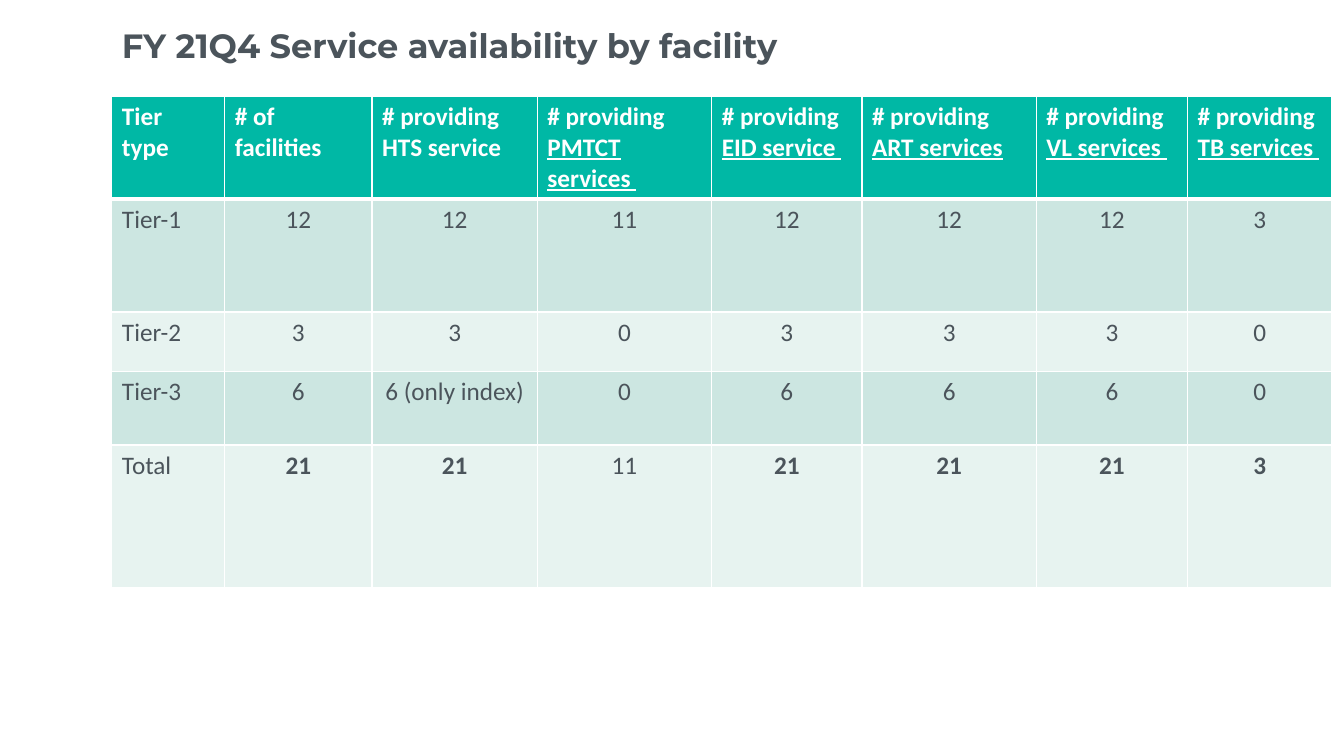
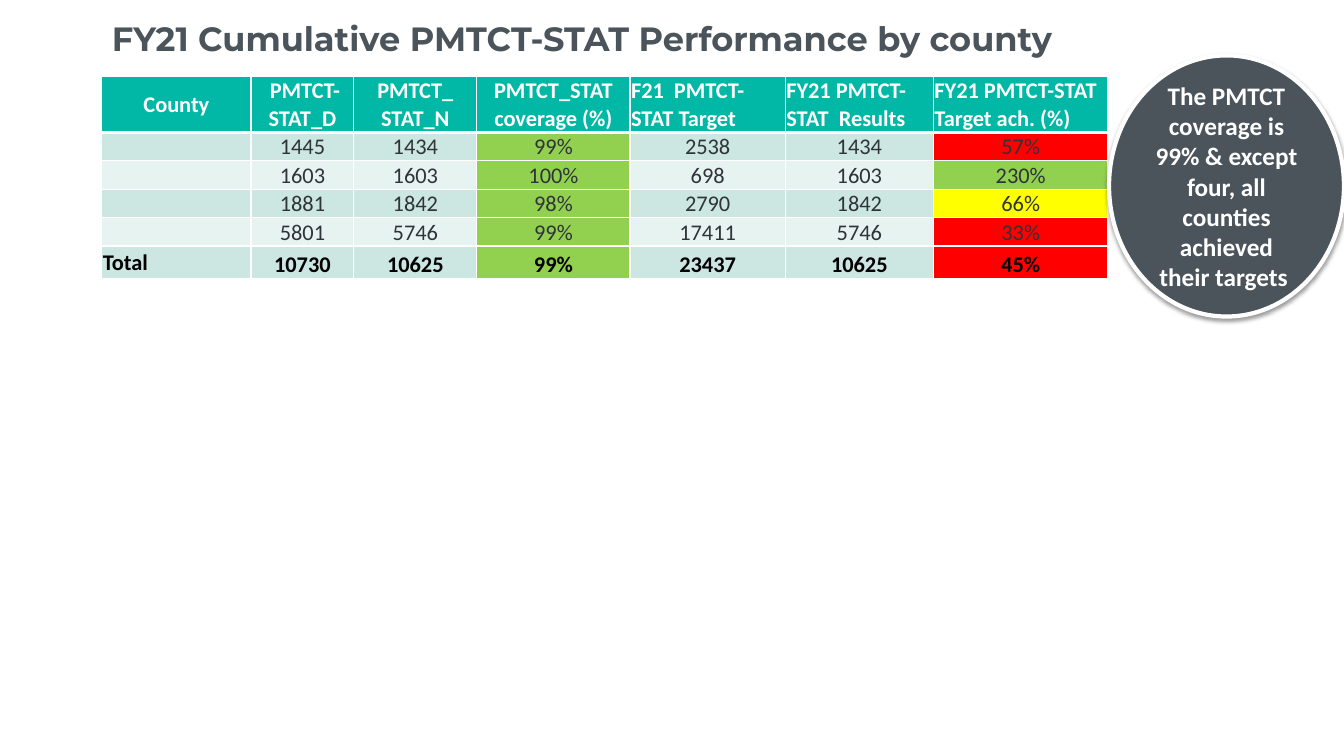
"""Build two slides of health service tables by facility tier and county."""
from lxml import etree
from pptx import Presentation
from pptx import util as u
from pptx.dml.color import RGBColor
from pptx.enum import shapes, text
from pptx.oxml import ns

PX = 9144
SLIDE_SIZE = (1333, 750)
WHITE = RGBColor(0xFF, 0xFF, 0xFF)
BLACK = RGBColor(0, 0, 0)
SLATE = RGBColor(0x4B, 0x54, 0x5B)
INK = RGBColor(0x2E, 0x34, 0x39)
TEAL = RGBColor(0x00, 0xB8, 0xA5)
BANDS = (RGBColor(0xCC, 0xE6, 0xE1), RGBColor(0xE7, 0xF3, 0xF0))
GREEN = RGBColor(0x92, 0xD0, 0x50)
YELLOW = RGBColor(0xFF, 0xFF, 0x00)
RED = RGBColor(0xFF, 0, 0)

LEFT, CENTER = text.PP_ALIGN.LEFT, text.PP_ALIGN.CENTER
TOP, MIDDLE, BOTTOM = (text.MSO_ANCHOR.TOP, text.MSO_ANCHOR.MIDDLE,
                       text.MSO_ANCHOR.BOTTOM)

TIER_TITLE = "FY 21Q4 Service availability by facility"
TIER_COLUMNS = (112, 146, 164, 173, 149, 173, 150, 143)
TIER_HEIGHTS = (93, 112, 59, 73, 141)
TIER_ROWS = [
    ["Tier type", "# of facilities", "# providing HTS service"]
    + [("# providing ", service) for service in
       ("PMTCT services ", "EID service ", "ART services", "VL services ", "TB services ")],
    ["Tier-1", "12", "12", "11", "12", "12", "12", "3"],
    ["Tier-2", "3", "3", "0", "3", "3", "3", "0"],
    ["Tier-3", "6", "6 (only index)", "0", "6", "6", "6", "0"],
    ["Total", "21", "21", "11", "21", "21", "21", "3"],
]

COUNTY_TITLE = "FY21 Cumulative PMTCT-STAT Performance by county"
COUNTY_COLUMNS = (148, 102, 122, 152, 154, 147, 173)
COUNTY_HEIGHTS = (51, 26, 26, 26, 26, 32)
COUNTY_ROWS = [
    ["County", " PMTCT-STAT_D", "PMTCT_\nSTAT_N", "PMTCT_STAT coverage (%)",
     "F21  PMTCT-STAT Target", "FY21 PMTCT-STAT  Results",
     "FY21 PMTCT-STAT Target ach. (%)"],
    ["", "1445", "1434", "99%", "2538", "1434", "57%"],
    ["", "1603", "1603", "100%", "698", "1603", "230%"],
    ["", "1881", "1842", "98%", "2790", "1842", "66%"],
    ["", "5801", "5746", "99%", "17411", "5746", "33%"],
    ["Total", "10730", "10625", "99%", "23437", "10625", "45%"],
]
COVERAGE, TARGET, ACHIEVED = 3, 4, 6
ACHIEVED_FILLS = (RED, GREEN, YELLOW, RED, RED)
CALLOUT = "The PMTCT coverage is 99% & except four, all counties achieved their targets "


def px(*lengths):
    return [length * PX for length in lengths]


def write(frame, content, size=18, font="Calibri", color=SLATE, bold=False,
          align=LEFT, underlined=""):
    for index, line in enumerate(content.split("\n")):
        para = frame.add_paragraph() if index else frame.paragraphs[0]
        para.alignment = align
        pieces = [(line, False), (underlined, True)]
        for piece, underline in pieces:
            if not piece:
                continue
            span = para.add_run()
            span.text = piece
            span.font.size, span.font.name = u.Pt(size), font
            span.font.bold, span.font.underline = bold, underline
            span.font.color.rgb = color
        if not para.runs:
            etree.SubElement(para._p, ns.qn("a:endParaRPr"), sz=str(size * 100))


def add_page(deck, title, left, top, width):
    page = deck.slides.add_slide(deck.slide_layouts[5])
    box = page.shapes.title
    box.left, box.top, box.width, box.height = px(left, top, width, 62)
    frame = box.text_frame
    frame.auto_size, frame.vertical_anchor = text.MSO_AUTO_SIZE.NONE, TOP
    write(frame, title, size=24, font="Montserrat", bold=True)
    return page


def set_borders(cell, **points):
    properties = cell._tc.get_or_add_tcPr()
    for side in "LRTB":
        line = etree.SubElement(properties, ns.qn(f"a:ln{side}"),
                                w=str(u.Pt(points.get(side, 1))))
        fill = etree.SubElement(line, ns.qn("a:solidFill"))
        etree.SubElement(fill, ns.qn("a:srgbClr"), val=str(WHITE))


def add_grid(page, left, top, columns, heights, rows, style):
    place = px(left, top, sum(columns), sum(heights))
    table = page.shapes.add_table(len(rows), len(columns), *place).table
    for column, width in zip(table.columns, px(*columns)):
        column.width = width
    for row, height in zip(table.rows, px(*heights)):
        row.height = height
    for r, row in enumerate(rows):
        for c, content in enumerate(row):
            cell = table.cell(r, c)
            look = style(r, c)
            set_borders(cell, T=3 if r == 1 else 1, B=1 if r else 3)
            cell.fill.solid()
            cell.fill.fore_color.rgb = look.pop("fill", BANDS[(r - 1) % 2] if r else TEAL)
            cell.vertical_anchor = look.pop("anchor", TOP)
            if "margin" in look:
                margin = look.pop("margin") * PX
                cell.margin_left = cell.margin_right = cell.margin_top = margin
                cell.margin_bottom = 0
            if isinstance(content, tuple):
                content, look["underlined"] = content
            write(cell.text_frame, content, **look)


def tier_style(r, c):
    if r == 0:
        return {"color": WHITE, "bold": True}
    bold_total = r == len(TIER_ROWS) - 1 and c not in (0, 3)
    return {"bold": bold_total, "align": CENTER if c else LEFT}


def county_style(r, c):
    look = {"size": 16, "margin": 1, "align": CENTER, "anchor": BOTTOM}
    total = r == len(COUNTY_ROWS) - 1
    if r == 0:
        look.update(color=WHITE, bold=True, anchor=MIDDLE,
                    align=LEFT if c >= TARGET else CENTER)
        return look
    look.update(color=BLACK if total else INK, bold=total)
    if c == 0:
        look.update(align=LEFT, anchor=MIDDLE)
    elif c == TARGET and not total:
        look["anchor"] = MIDDLE
    elif c == COVERAGE:
        look["fill"] = GREEN
    elif c == ACHIEVED:
        look["fill"] = ACHIEVED_FILLS[r - 1]
    return look


def add_callout(page, left, top, width, height):
    circle = page.shapes.add_shape(shapes.MSO_SHAPE.OVAL, *px(left, top, width, height))
    circle.fill.solid()
    circle.fill.fore_color.rgb = SLATE
    circle.line.color.rgb = WHITE
    circle.line.width = u.Pt(3)
    circle.shadow.inherit = False
    effects = circle._element.spPr.find(ns.qn("a:effectLst"))
    shadow = etree.SubElement(effects, ns.qn("a:outerShdw"), blurRad=str(u.Pt(3.1)),
                              dist=str(u.Pt(1.6)), dir="5400000", rotWithShape="0")
    tint = etree.SubElement(shadow, ns.qn("a:srgbClr"), val=str(BLACK))
    etree.SubElement(tint, ns.qn("a:alpha"), val="38000")
    frame = circle.text_frame
    frame.word_wrap, frame.vertical_anchor = True, MIDDLE
    write(frame, CALLOUT, color=WHITE, bold=True, align=CENTER)


def main():
    deck = Presentation()
    deck.slide_width, deck.slide_height = px(*SLIDE_SIZE)
    page = add_page(deck, TIER_TITLE, 111, 20, 1211)
    add_grid(page, 111, 96, TIER_COLUMNS, TIER_HEIGHTS, TIER_ROWS, tier_style)
    page = add_page(deck, COUNTY_TITLE, 101, 13, 1102)
    add_grid(page, 101, 76, COUNTY_COLUMNS, COUNTY_HEIGHTS, COUNTY_ROWS, county_style)
    add_callout(page, 1100, 55, 233, 259)
    deck.save("out.pptx")


if __name__ == "__main__":
    main()
